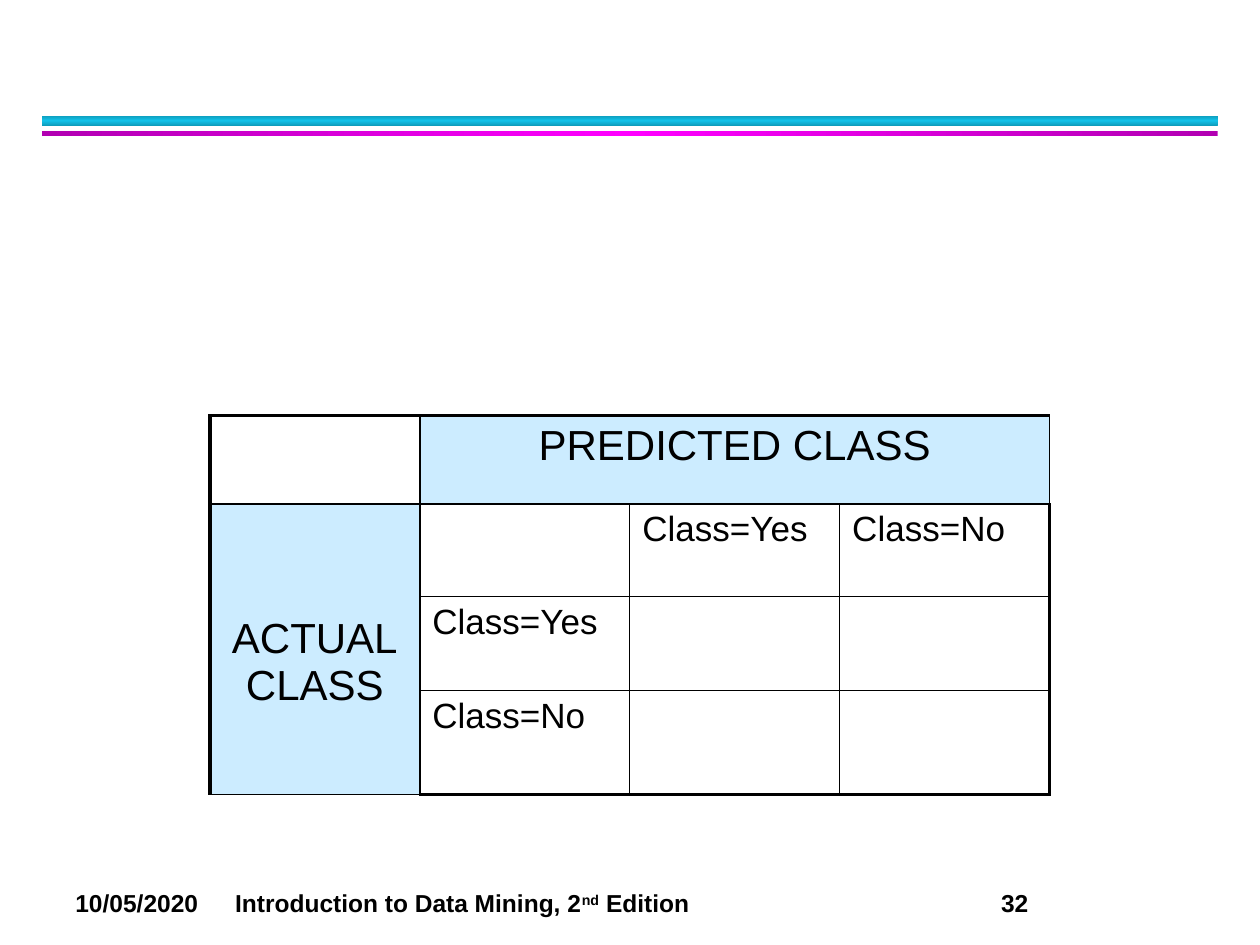
from copy import deepcopy

from lxml import etree
from pptx import Presentation
from pptx.dml.color import RGBColor
from pptx.enum.shapes import MSO_SHAPE
from pptx.enum.text import MSO_ANCHOR, PP_ALIGN
from pptx.oxml.ns import qn
from pptx.util import Cm, Pt

RECT = MSO_SHAPE.RECTANGLE
LEFT, CENTER = PP_ALIGN.LEFT, PP_ALIGN.CENTER
TOP, MIDDLE = MSO_ANCHOR.TOP, MSO_ANCHOR.MIDDLE
FONT = "Arial"
COLORS = {
    "ink": "000000", "head": "CCECFF", "paper": "FFFFFF",
    "teal": "0E9BBA", "cyan": "12C2E9",
    "plum": "B200B2", "pink": "FF00FF",
}
THIN, THICK = 1, 2.25


def rgb(name):
    return RGBColor.from_string(COLORS[name])


def write(para, text, size=20, bold=False, align=LEFT, base=0):
    """Append text to a paragraph; base raises it by a percentage."""
    para.alignment = align
    for i, line in enumerate(text.split("\n")):
        if i:
            para.add_line_break()
        run = para.add_run()
        run.text = line
        font = run.font
        font.name, font.size, font.bold = FONT, Pt(size), bold
        font.color.rgb = rgb("ink")
        if base:
            run._r.get_or_add_rPr().set("baseline", str(base * 1000))


def add_bar(slide, box, edge, core, angle):
    bar = slide.shapes.add_shape(RECT, *map(Cm, box))
    bar.shadow.inherit = False
    bar.line.fill.background()
    bar.fill.gradient()
    bar.fill.gradient_angle = angle
    stops = bar._element.spPr.find(".//" + qn("a:gsLst"))
    stops.insert(1, deepcopy(stops[0]))
    for stop, name, pos in zip(bar.fill.gradient_stops, (edge, core, edge), (0, 0.5, 1)):
        stop.color.rgb = rgb(name)
        stop.position = pos


def add_rules(slide, box):
    """Double rule at the top of the slide."""
    x, y, w, h = box
    add_bar(slide, (x, y, w, h / 2), "teal", "cyan", 90)
    add_bar(slide, (x, y + h * 0.75, w, h / 4), "plum", "pink", 0)


def set_edge(cell, side, width):
    props = cell._tc.get_or_add_tcPr()
    line = etree.SubElement(props, qn("a:ln" + side), w=str(Pt(width)))
    fill = etree.SubElement(line, qn("a:solidFill"))
    etree.SubElement(fill, qn("a:srgbClr"), val=COLORS["ink"])


def add_matrix(slide, box, rows, texts, heads):
    """Confusion matrix: thick frame, thin grid, two merged headings."""
    x, y, w = box
    count = len(rows)
    frame = slide.shapes.add_table(count, count, Cm(x), Cm(y), Cm(w), Cm(sum(rows)))
    table = frame.table
    last = count - 1
    for i, high in enumerate(rows):
        table.rows[i].height = Cm(high)
        table.columns[i].width = Cm(w / count)

    for r in range(count):
        for c in range(count):
            cell = table.cell(r, c)
            outer = {"L": c == 0, "R": c == last, "T": r == 0, "B": r == last}
            for side, thick in outer.items():
                set_edge(cell, side, THICK if thick else THIN)
            cell.fill.solid()
            cell.fill.fore_color.rgb = rgb("paper")
            if (r, c) in texts:
                write(cell.text_frame.paragraphs[0], texts[r, c])

    for start, end, text, anchor, drop in heads:
        cell = table.cell(*start)
        cell.merge(table.cell(*end))
        cell.fill.solid()
        cell.fill.fore_color.rgb = rgb("head")
        cell.vertical_anchor = anchor
        cell.margin_top = Cm(drop)
        write(cell.text_frame.paragraphs[0], text, size=24, align=CENTER)


def add_footer(slide, box, parts, tabs):
    """Date, book title and page number on one line with tab stops."""
    frame = slide.shapes.add_textbox(*map(Cm, box)).text_frame
    frame.word_wrap = True
    para = frame.paragraphs[0]
    for text, base in parts:
        write(para, text, size=14, bold=True, base=base)
    stops = etree.SubElement(para._p.get_or_add_pPr(), qn("a:tabLst"))
    for pos in tabs:
        etree.SubElement(stops, qn("a:tab"), pos=str(Cm(pos)), algn="l")


def main():
    deck = Presentation()
    deck.slide_width, deck.slide_height = Cm(25.4), Cm(19.05)
    slide = deck.slides.add_slide(deck.slide_layouts[6])

    add_rules(slide, (0.85, 2.33, 23.7, 0.42))
    add_matrix(
        slide, (4.23, 8.38, 16.93), (1.78, 1.86, 1.9, 2.1),
        texts={(1, 2): "Class=Yes", (1, 3): "Class=No",
               (2, 1): "Class=Yes", (3, 1): "Class=No"},
        heads=[((0, 1), (0, 3), "PREDICTED CLASS", TOP, 0.13),
               ((1, 0), (3, 0), "ACTUAL\nCLASS", MIDDLE, 0.65)],
    )
    add_footer(
        slide, (1.27, 17.78, 23.7, 0.86),
        parts=[("10/05/2020\tIntroduction to Data Mining, 2", 0),
               ("nd", 30), (" Edition\t32", 0)],
        tabs=(3.22, 18.66),
    )
    deck.save("out.pptx")


if __name__ == "__main__":
    main()
